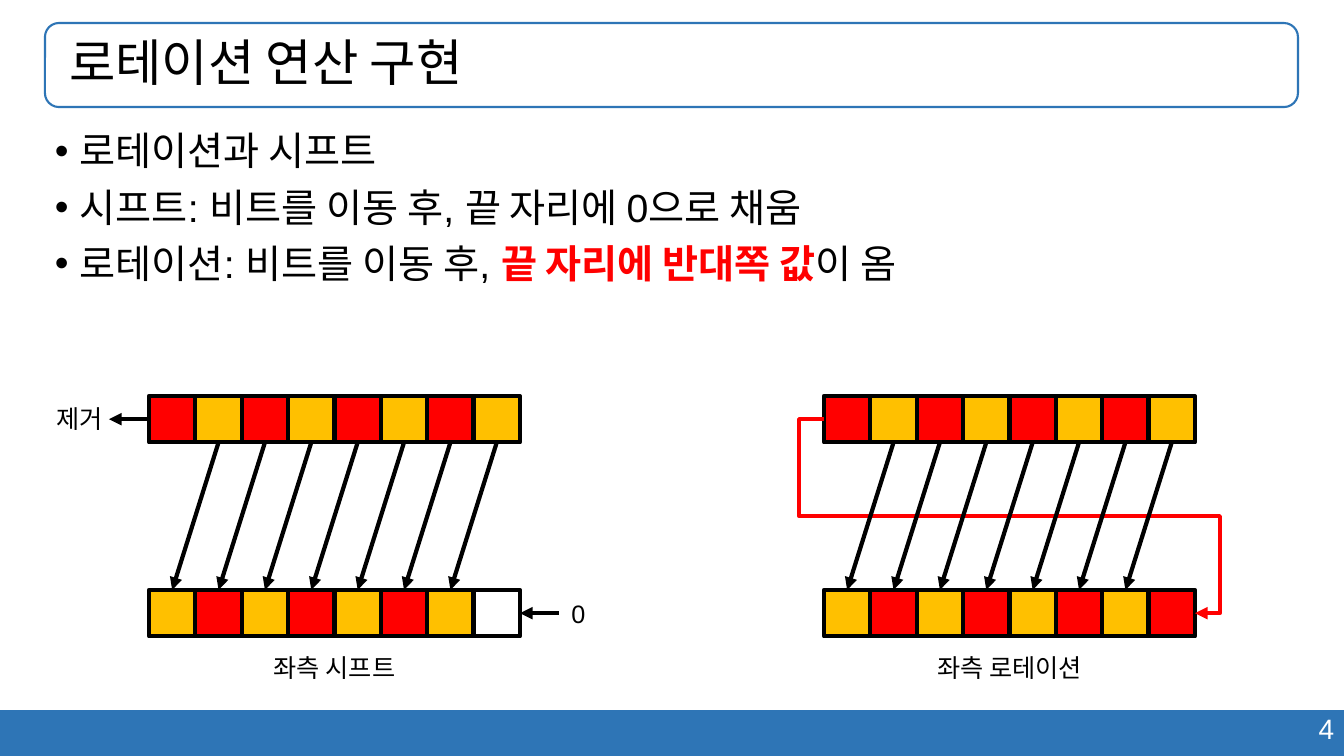
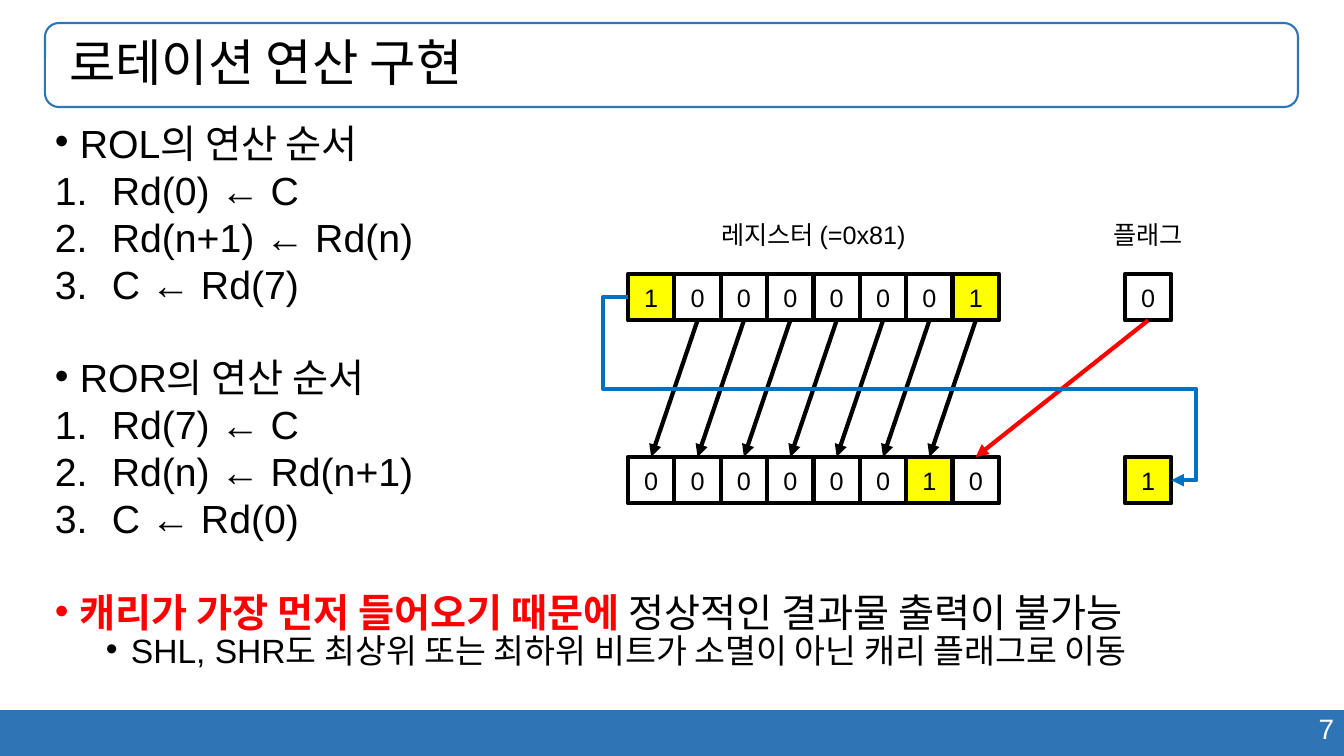
"""Build two slides on how bit rotation differs from bit shifting."""
from lxml.etree import SubElement
from pptx import Presentation
from pptx.dml.color import RGBColor
from pptx.enum.shapes import MSO_CONNECTOR as Connector, MSO_SHAPE as Shape
from pptx.enum.text import MSO_ANCHOR as Anchor, MSO_AUTO_SIZE as AutoSize, PP_ALIGN as Align
from pptx.oxml.ns import qn
from pptx.util import Inches, Pt

BLACK = RGBColor(0x00, 0x00, 0x00)
WHITE = RGBColor(0xFF, 0xFF, 0xFF)
RED = RGBColor(0xFF, 0x00, 0x00)
ORANGE = RGBColor(0xFF, 0xC0, 0x00)
YELLOW = RGBColor(0xFF, 0xFF, 0x00)
BLUE = RGBColor(0x00, 0x70, 0xC0)
BAND_BLUE = RGBColor(0x2E, 0x75, 0xB6)
FONT = "Arial"

PX = Inches(1) / 100.8
WIDTH, HEIGHT = 1344, 756
TITLE_BOX = (45, 23, 1253, 84)
BITS = 8
ROW_WIDTH = 371
CELL = ROW_WIDTH / BITS
LOOP_REACH = 25
LABEL_HEIGHT = 40
TOP, LEFT, BOTTOM, RIGHT = range(4)

TITLE = "로테이션 연산 구현"
PARAGRAPH_STYLES = {
    "bullet": {"left": 25, "hanging": 25, "size": 28, "before": 10, "level": 0},
    "section": {"left": 25, "hanging": 25, "size": 28, "before": 43.5, "level": 0},
    "number": {"left": 57, "hanging": 57, "size": 28, "before": 10, "level": 0},
    "sub": {"left": 76, "hanging": 25, "size": 24, "before": 5, "level": 1},
}
COMPARISON_TEXT = [
    ("bullet", ["로테이션과 시프트"]),
    ("bullet", ["시프트: 비트를 이동 후, 끝 자리에 0으로 채움"]),
    ("bullet", ["로테이션: 비트를 이동 후, ", ("끝 자리에 반대쪽 값",), "이 옴"]),
]
ORDER_TEXT = [
    ("bullet", ["ROL의 연산 순서"]),
    ("number", ["Rd(0) ← C"]),
    ("number", ["Rd(n+1) ← Rd(n)"]),
    ("number", ["C ← Rd(7)"]),
    ("section", ["ROR의 연산 순서"]),
    ("number", ["Rd(7) ← C"]),
    ("number", ["Rd(n) ← Rd(n+1)"]),
    ("number", ["C ← Rd(0)"]),
    ("section", [("캐리가 가장 먼저 들어오기 때문에 ",), "정상적인 결과물 출력이 불가능"]),
    ("sub", ["SHL, SHR도 최상위 또는 최하위 비트가 소멸이 아닌 캐리 플래그로 이동"]),
]
ALTERNATING = [RED, ORANGE] * 4
SHIFTED = ALTERNATING[1:] + [None]
ROTATED = ALTERNATING[1:] + ALTERNATING[:1]
DIAGRAM_TOPS = (396, 590)
SHIFT_LEFT, ROTATION_LEFT = 149, 824
REGISTER_TOPS = (274, 457)
REGISTER_LEFT, FLAG_LEFT = 628, 1125
REGISTER_BITS = ("10000001", "00000010")
FLAG_BITS = ("0", "1")


def px(*values):
    return [round(value * PX) for value in values]


def style_run(run, size, color=BLACK, bold=False):
    run.font.name = FONT
    run.font.size = Pt(size)
    run.font.color.rgb = color
    run.font.bold = bold


def set_text(shape, text, size, color=BLACK, align=Align.CENTER):
    paragraph = shape.text_frame.paragraphs[0]
    paragraph.text = text
    paragraph.alignment = align
    style_run(paragraph.runs[0], size, color)


def add_label(slide, text, box, size=18, color=BLACK, align=Align.CENTER):
    label = slide.shapes.add_textbox(*px(*box))
    label.text_frame.word_wrap = True
    set_text(label, text, size, color, align)


def add_box(slide, kind, box, fill=None, line=None, line_width=3):
    shape = slide.shapes.add_shape(kind, *px(*box))
    shape.shadow.inherit = False
    if fill is None:
        shape.fill.background()
    else:
        shape.fill.solid()
        shape.fill.fore_color.rgb = fill
    if line is None:
        shape.line.fill.background()
    else:
        shape.line.color.rgb = line
        shape.line.width = Pt(line_width)
    return shape


def add_base_slide(presentation, number):
    slide = presentation.slides.add_slide(presentation.slide_layouts[5])
    add_box(slide, Shape.RECTANGLE, (0, 710, WIDTH, HEIGHT - 710), BAND_BLUE)
    add_label(slide, number, (951, 707, 393, 44), 20, WHITE, Align.RIGHT)
    add_box(slide, Shape.ROUNDED_RECTANGLE, TITLE_BOX, line=BAND_BLUE, line_width=1.5)
    title = slide.shapes.title
    title.left, title.top, title.width, title.height = px(*TITLE_BOX)
    frame = title.text_frame
    frame.auto_size = AutoSize.NONE
    frame.vertical_anchor = Anchor.MIDDLE
    frame.margin_left = px(24)[0]
    set_text(title, TITLE, 36, align=Align.LEFT)
    frame.paragraphs[0].line_spacing = 0.9
    return slide


def add_body(slide, content, line_spacing):
    frame = slide.shapes.add_textbox(*px(45, 127, 1253, 557)).text_frame
    frame.word_wrap = True
    for index, (kind, parts) in enumerate(content):
        style = PARAGRAPH_STYLES[kind]
        paragraph = frame.add_paragraph() if index else frame.paragraphs[0]
        paragraph.level = style["level"]
        paragraph.line_spacing = line_spacing
        if index:
            paragraph.space_before = Pt(style["before"])
        properties = paragraph._p.get_or_add_pPr()
        left, indent = px(style["left"], -style["hanging"])
        properties.set("marL", str(left))
        properties.set("indent", str(indent))
        SubElement(properties, qn("a:buFont"), typeface=FONT)
        if kind == "number":
            SubElement(properties, qn("a:buAutoNum"), type="arabicPeriod")
        else:
            SubElement(properties, qn("a:buChar"), char="•")
        for part in parts:
            emphasized = isinstance(part, tuple)
            run = paragraph.add_run()
            run.text = part[0] if emphasized else part
            style_run(run, style["size"], RED if emphasized else BLACK, emphasized)


def add_cell(slide, left, top, fill=None, bit=""):
    cell = add_box(slide, Shape.RECTANGLE, (left, top, CELL, CELL), fill, BLACK)
    if bit:
        frame = cell.text_frame
        frame.margin_left = frame.margin_right = 0
        frame.vertical_anchor = Anchor.MIDDLE
        set_text(cell, bit, 18)
    return cell


def add_color_row(slide, left, top, fills):
    return [add_cell(slide, left + i * CELL, top, fill) for i, fill in enumerate(fills)]


def add_bit_row(slide, left, top, bits):
    return [add_cell(slide, left + i * CELL, top, YELLOW if bit == "1" else None, bit)
            for i, bit in enumerate(bits)]


def add_arrow(slide, start, end, color=BLACK, kind=Connector.STRAIGHT):
    arrow = slide.shapes.add_connector(kind, *px(*start, *end))
    arrow.line.color.rgb = color
    arrow.line.width = Pt(3)
    SubElement(arrow.line._get_or_add_ln(), qn("a:tailEnd"), type="triangle")
    SubElement(arrow._element.spPr, qn("a:effectLst"))
    return arrow


def link_cells(slide, source, target, color=BLACK):
    arrow = add_arrow(slide, (0, 0), (0, 0), color)
    arrow.begin_connect(source, BOTTOM)
    arrow.end_connect(target, TOP)


def link_shifted(slide, upper, lower):
    for source, target in zip(upper[1:], lower):
        link_cells(slide, source, target)


def add_loop(slide, source, target, color):
    loop = add_arrow(slide, (0, 0), (0, 0), color, Connector.ELBOW)
    loop.begin_connect(source, LEFT)
    loop.end_connect(target, RIGHT)
    reach = LOOP_REACH * PX / loop.width
    geometry = loop._element.spPr.find(qn("a:prstGeom"))
    geometry.set("prst", "bentConnector5")
    guides = geometry.find(qn("a:avLst"))
    for index, ratio in enumerate((-reach, 0.5, 1 + reach), 1):
        SubElement(guides, qn("a:gd"), name=f"adj{index}", fmla=f"val {round(ratio * 100000)}")


def add_row_label(slide, text, left, top):
    add_label(slide, text, (left + CELL / 2, top, ROW_WIDTH - CELL, LABEL_HEIGHT))


def build_comparison(presentation):
    slide = add_base_slide(presentation, "4")
    add_body(slide, COMPARISON_TEXT, 0.9)
    diagrams = [(SHIFT_LEFT, SHIFTED, "좌측 시프트"), (ROTATION_LEFT, ROTATED, "좌측 로테이션")]
    for left, result, caption in diagrams:
        upper, lower = [add_color_row(slide, left, top, fills)
                        for top, fills in zip(DIAGRAM_TOPS, (ALTERNATING, result))]
        if result is ROTATED:
            add_loop(slide, upper[0], lower[-1], RED)
        link_shifted(slide, upper, lower)
        add_row_label(slide, caption, left, 647)
    upper_middle, lower_middle = [top + CELL / 2 for top in DIAGRAM_TOPS]
    row_right = SHIFT_LEFT + ROW_WIDTH
    add_arrow(slide, (SHIFT_LEFT, upper_middle), (SHIFT_LEFT - 40, upper_middle))
    add_arrow(slide, (row_right + 39, lower_middle), (row_right, lower_middle))
    add_label(slide, "제거", (33, 398, 93, LABEL_HEIGHT))
    add_label(slide, "0", (532, 593, 93, LABEL_HEIGHT))


def build_order(presentation):
    slide = add_base_slide(presentation, "7")
    add_body(slide, ORDER_TEXT, 0.7)
    upper, lower = [add_bit_row(slide, REGISTER_LEFT, top, bits)
                    for top, bits in zip(REGISTER_TOPS, REGISTER_BITS)]
    old_flag, new_flag = [add_bit_row(slide, FLAG_LEFT, top, bit)[0]
                          for top, bit in zip(REGISTER_TOPS, FLAG_BITS)]
    link_cells(slide, old_flag, lower[-1], RED)
    link_shifted(slide, upper, lower)
    add_loop(slide, upper[0], new_flag, BLUE)
    add_row_label(slide, "레지스터 (=0x81)", REGISTER_LEFT, 214)
    add_row_label(slide, "플래그", FLAG_LEFT - (ROW_WIDTH - CELL) / 2, 214)


def main():
    presentation = Presentation()
    presentation.slide_width, presentation.slide_height = px(WIDTH, HEIGHT)
    build_comparison(presentation)
    build_order(presentation)
    presentation.save("out.pptx")


if __name__ == "__main__":
    main()
